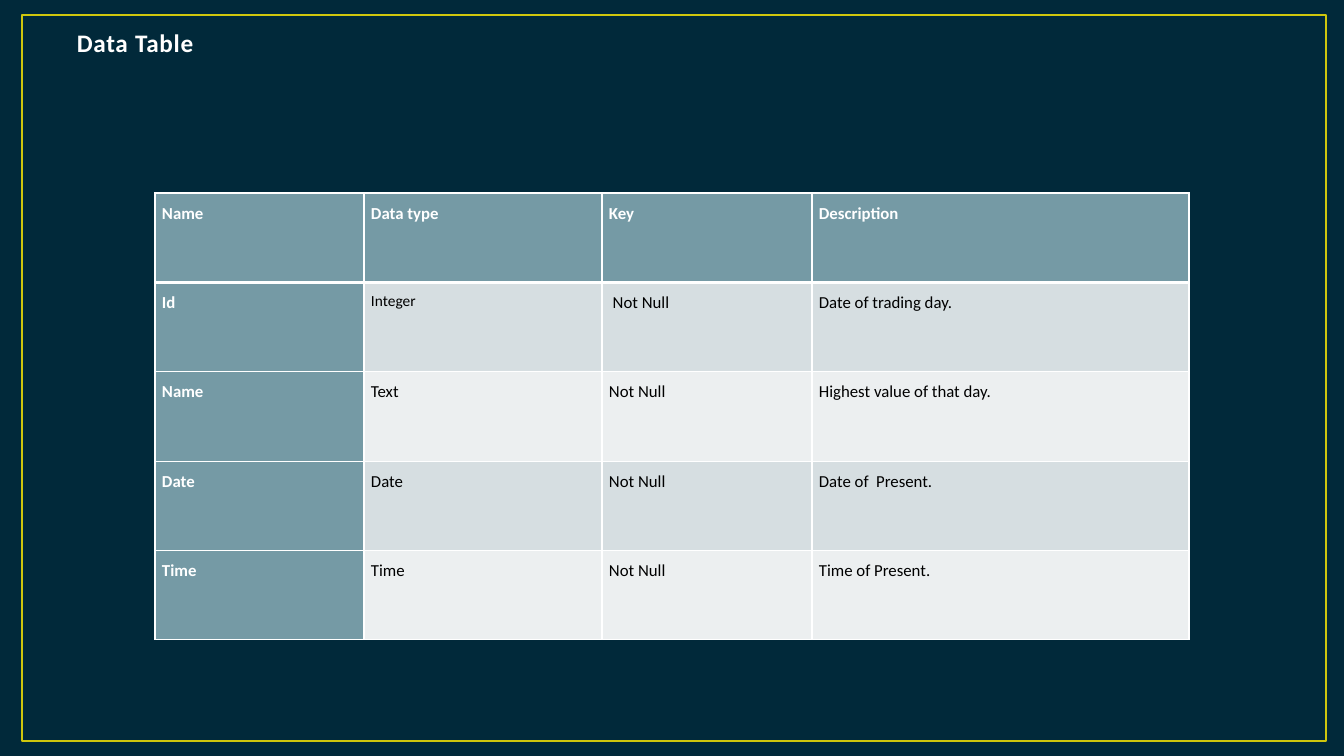
from lxml.etree import SubElement
from pptx import Presentation
from pptx.dml.color import RGBColor
from pptx.enum.shapes import MSO_SHAPE
from pptx.enum.text import MSO_ANCHOR, PP_ALIGN
from pptx.oxml.ns import qn
from pptx.util import Emu, Pt

NAVY = RGBColor(0x01, 0x29, 0x3A)
GOLD = RGBColor(0xCF, 0xC6, 0x0D)
TEAL = RGBColor(0x75, 0x9A, 0xA5)
GREY = RGBColor(0xD6, 0xDE, 0xE1)
PALE = RGBColor(0xEC, 0xEF, 0xF0)
WHITE = RGBColor(0xFF, 0xFF, 0xFF)
BLACK = RGBColor(0x00, 0x00, 0x00)

FONT = "Calibri"
WIDTHS = [209, 238, 210, 377]
ROWS = [
    ["Name", "Data type", "Key", "Description"],
    ["Id", "Integer", " Not Null", "Date of trading day."],
    ["Name", "Text", "Not Null", "Highest value of that day."],
    ["Date", "Date", "Not Null", "Date of  Present."],
    ["Time", "Time", "Not Null", "Time of Present."],
]


def px(count):
    return Emu(round(count * 914400 / 100.8))


def add_run(para, text, size, color, bold):
    run = para.add_run()
    run.text = text
    font = run.font
    font.name, font.size, font.bold = FONT, Pt(size), bold
    font.color.rgb = color
    return run


def add_frame(slide, left, top, width, height):
    frame = slide.shapes.add_shape(
        MSO_SHAPE.RECTANGLE, px(left), px(top), px(width), px(height))
    frame.shadow.inherit = False
    frame.fill.background()
    frame.line.color.rgb = GOLD
    frame.line.width = Pt(1.5)


def add_title(slide, text, left, top, width, height):
    body = slide.shapes.add_textbox(
        px(left), px(top), px(width), px(height)).text_frame
    body.word_wrap = True
    body.margin_top = 0
    body.vertical_anchor = MSO_ANCHOR.TOP
    run = add_run(body.paragraphs[0], text, 18, WHITE, True)
    run.font._element.set("spc", "50")


def add_edge(cell, side, width):
    props = cell._tc.get_or_add_tcPr()
    line = SubElement(props, qn("a:ln" + side), w=str(Pt(width)))
    fill = SubElement(line, qn("a:solidFill"))
    SubElement(fill, qn("a:srgbClr"), val=str(WHITE))


def fill_cell(cell, text, row, col):
    head = row == 0 or col == 0
    # Borders, with a thick rule under the header
    for side in "LRTB":
        thick = (row, side) in [(0, "B"), (1, "T")]
        add_edge(cell, side, 3 if thick else 1)
    # Banded fill
    cell.fill.solid()
    cell.fill.fore_color.rgb = TEAL if head else GREY if row % 2 else PALE
    # Text
    cell.margin_left, cell.margin_right = px(7), px(8)
    cell.margin_top = cell.margin_bottom = 0
    para = cell.text_frame.paragraphs[0]
    para.alignment = PP_ALIGN.JUSTIFY
    para.line_spacing = 1.5
    size = 11 if text == "Integer" else 12
    add_run(para, text, size, WHITE if head else BLACK, head)


def add_grid(slide, left, top, height):
    table = slide.shapes.add_table(
        len(ROWS), len(WIDTHS), px(left), px(top),
        px(sum(WIDTHS)), px(height)).table
    for col, width in enumerate(WIDTHS):
        table.columns[col].width = px(width)
    for row, texts in enumerate(ROWS):
        for col, text in enumerate(texts):
            fill_cell(table.cell(row, col), text, row, col)


def main():
    deck = Presentation()
    deck.slide_width, deck.slide_height = px(1344), px(756)
    slide = deck.slides.add_slide(deck.slide_layouts[6])

    # Backdrop and frame
    slide.background.fill.solid()
    slide.background.fill.fore_color.rgb = NAVY
    add_frame(slide, 22, 15, 1304, 726)

    # Table and title
    add_grid(slide, 155, 193, 447)
    add_title(slide, "Data Table", 67, 27, 616, 51)

    deck.save("out.pptx")


if __name__ == "__main__":
    main()
